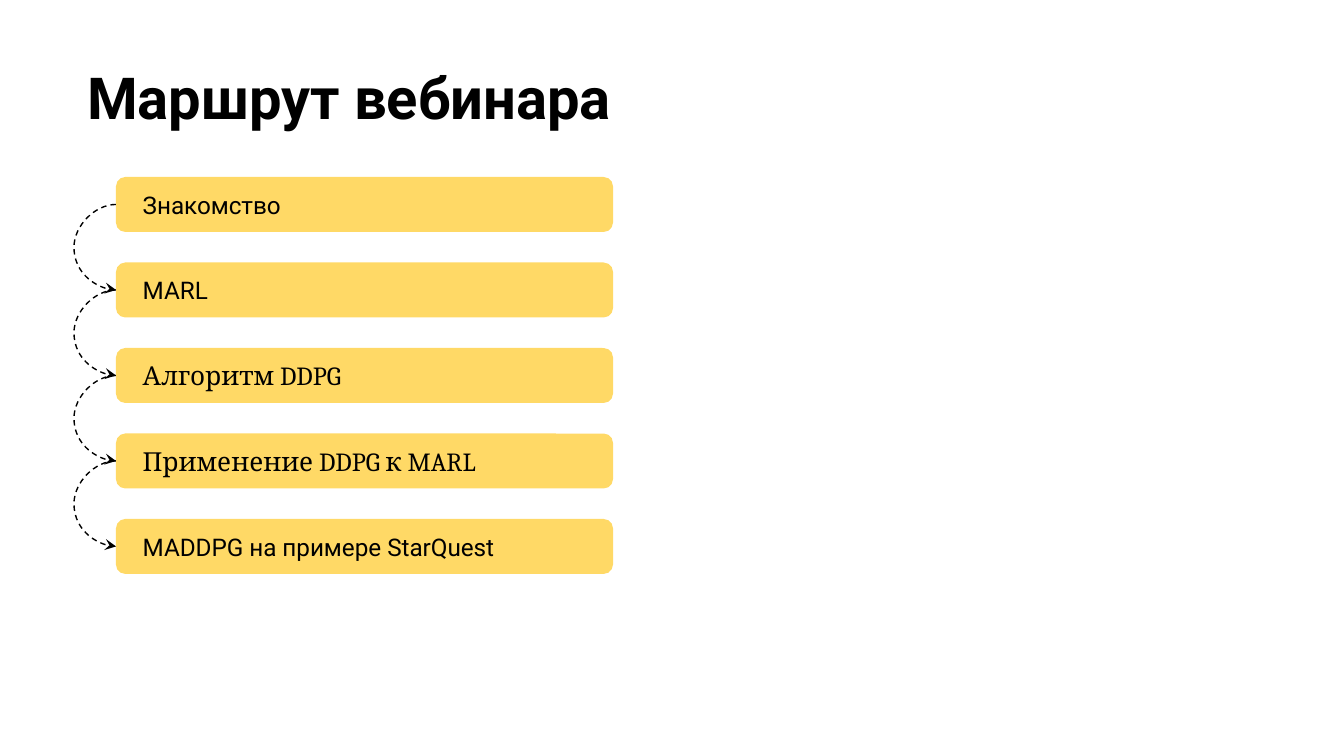
from itertools import pairwise

from lxml import etree
from pptx import Presentation
from pptx.dml.color import RGBColor
from pptx.enum.dml import MSO_LINE
from pptx.enum.shapes import MSO_CONNECTOR, MSO_SHAPE
from pptx.enum.text import MSO_ANCHOR, MSO_AUTO_SIZE, PP_ALIGN
from pptx.oxml.ns import qn
from pptx.util import Pt

CURVE, ROUND = MSO_CONNECTOR.CURVE, MSO_SHAPE.ROUNDED_RECTANGLE
TOP, MIDDLE = MSO_ANCHOR.TOP, MSO_ANCHOR.MIDDLE
LEFT, DASH, NO_FIT = PP_ALIGN.LEFT, MSO_LINE.DASH, MSO_AUTO_SIZE.NONE

# Content
TITLE = "Маршрут вебинара"
STEPS = [
    ("Знакомство", "Roboto", 13),
    ("MARL", "Roboto", 13),
    ("Алгоритм DDPG", "Cambria", 14),
    ("Применение DDPG к MARL", "Cambria", 14),
    ("MADDPG на примере StarQuest", "Roboto", 13),
]
COLORS = {"ink": "000000", "bar": "FFD966"}

# Layout in px
SCALE = 914400 / 134.4
BAR_X, BAR_W, BAR_H = 116, 497, 55
FIRST_Y, LAST_Y = 177, 519
PITCH = (LAST_Y - FIRST_Y) / (len(STEPS) - 1)
BULGE = 35    # reach of an arc to the left of the bars
SLIM = 600    # arc width in EMU, the base of its bend
LEFT_SITE = 1


def px(n):
    return round(n * SCALE)


def color(name):
    return RGBColor.from_string(COLORS[name])


def write(shape, text, face, size, anchor, side, bold=False):
    frame = shape.text_frame
    frame.word_wrap = True
    frame.auto_size = NO_FIT
    frame.vertical_anchor = anchor
    frame.margin_left = frame.margin_right = px(side)
    frame.margin_top = frame.margin_bottom = px(13)
    frame.text = text
    para = frame.paragraphs[0]
    para.alignment = LEFT
    font = para.font
    font.name, font.size, font.bold = face, Pt(size), bold
    font.color.rgb = color("ink")


def add_bar(slide, row, text, face, size):
    bar = slide.shapes.add_shape(
        ROUND, px(BAR_X), px(FIRST_Y + row * PITCH), px(BAR_W), px(BAR_H))
    bar.adjustments[0] = 0.17
    bar.shadow.inherit = False
    bar.fill.solid()
    bar.fill.fore_color.rgb = color("bar")
    bar.line.fill.background()
    write(bar, text, face, size, MIDDLE, 24)
    return bar


def add_arc(slide, start, end):
    # Starting in place keeps the arc unflipped when it is joined
    top, low = (bar.top + bar.height // 2 for bar in (start, end))
    arc = slide.shapes.add_connector(CURVE, start.left, top, end.left, low)
    arc.begin_connect(start, LEFT_SITE)
    arc.end_connect(end, LEFT_SITE)
    arc.width = SLIM
    arc.line.color.rgb = color("ink")
    arc.line.width = Pt(0.75)
    arc.line.dash_style = DASH
    # Bend, arrowhead and no shadow
    props = arc._element.spPr
    bend = props.find(qn("a:prstGeom")).get_or_add_avLst()
    ratio = round(-px(BULGE) / SLIM * 100000)
    etree.SubElement(bend, qn("a:gd"), name="adj1", fmla=f"val {ratio}")
    etree.SubElement(props.find(qn("a:ln")), qn("a:tailEnd"), type="stealth")
    etree.SubElement(props, qn("a:effectLst"))


def main():
    deck = Presentation()
    deck.slide_width, deck.slide_height = px(1344), px(756)
    slide = deck.slides.add_slide(deck.slide_layouts[5])

    # Title
    title = slide.shapes.title
    title.left, title.top = px(74), px(49)
    title.width, title.height = px(1253), px(161)
    write(title, TITLE, "Roboto", 31, TOP, 13, bold=True)

    # Steps and the arcs between them
    bars = [add_bar(slide, row, *step) for row, step in enumerate(STEPS)]
    for start, end in pairwise(bars):
        add_arc(slide, start, end)

    deck.save("out.pptx")


if __name__ == "__main__":
    main()
